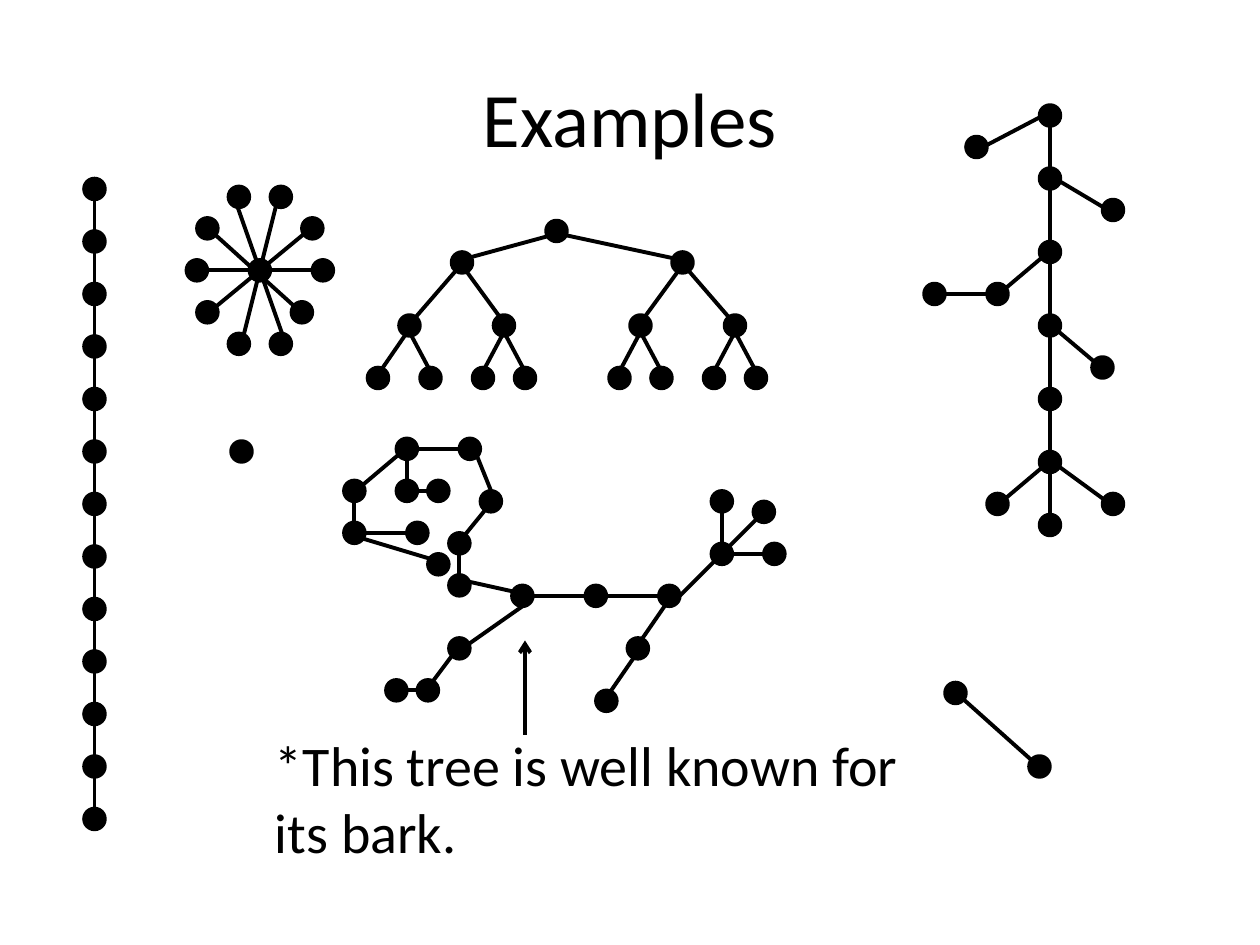
from lxml import etree
from pptx import Presentation
from pptx.dml.color import RGBColor
from pptx.enum.shapes import MSO_CONNECTOR, MSO_SHAPE
from pptx.enum.text import MSO_ANCHOR, MSO_AUTO_SIZE, PP_ALIGN
from pptx.oxml.ns import qn
from pptx.util import Cm, Pt

OVAL = MSO_SHAPE.OVAL
STRAIGHT = MSO_CONNECTOR.STRAIGHT
MIDDLE = MSO_ANCHOR.MIDDLE
TOP = MSO_ANCHOR.TOP
CENTER = PP_ALIGN.CENTER
LEFT = PP_ALIGN.LEFT
GROW = MSO_AUTO_SIZE.SHAPE_TO_FIT_TEXT

GRID = 2.54 / 12
DOT = 2
SNAP = 0.39
SIDES = {"N": (0, -1), "S": (0, 1), "W": (-1, 0), "E": (1, 0),
         "NW": (-1, -1), "NE": (1, -1), "SW": (-1, 1), "SE": (1, 1)}


def color(value):
    return RGBColor.from_string(value)


def units(*values):
    return [Cm(value * GRID) for value in values]


def sign(value):
    return (value > 0) - (value < 0)


def rim(node, side):
    reach = DOT / 2 * (0.71 if all(side) else 1)
    return [start + DOT / 2 + step * reach for start, step in zip(node, side)]


def direction(start, end):
    across, down = end[0] - start[0], end[1] - start[1]
    return (sign(across) if abs(across) > SNAP * abs(down) else 0,
            sign(down) if abs(down) > SNAP * abs(across) else 0)


class Board:
    ink = "000000"
    font = "Calibri"

    def __init__(self, page):
        self.page = page

    def label(self, box, text, size, align, frame_format):
        for name, value in frame_format.items():
            setattr(box.text_frame, name, value)
        para = box.text_frame.paragraphs[0]
        para.alignment = align
        span = para.add_run()
        span.text = text
        for name, value in {"name": self.font, "size": Pt(size)}.items():
            setattr(span.font, name, value)
        span.font.color.rgb = color(self.ink)

    def title(self, text, left, top, width, height):
        box = self.page.shapes.title
        box.left, box.top, box.width, box.height = units(left, top, width, height)
        self.label(box, text, 44, CENTER, {"vertical_anchor": MIDDLE})

    def caption(self, text, left, top, width, height):
        box = self.page.shapes.add_textbox(*units(left, top, width, height))
        self.label(box, text, 32, LEFT, {
            "word_wrap": True, "auto_size": GROW, "vertical_anchor": TOP})

    def dot(self, node):
        shape = self.page.shapes.add_shape(OVAL, *units(*node, DOT, DOT))
        shape.shadow.inherit = False
        shape.fill.solid()
        shape.fill.fore_color.rgb = color(self.ink)
        shape.line.color.rgb = color(self.ink)
        shape.line.width = Pt(2)

    def line(self, start, end, arrow=False):
        connector = self.page.shapes.add_connector(STRAIGHT, *units(*start, *end))
        connector.line.color.rgb = color(self.ink)
        connector.line.width = Pt(2.25)
        properties = connector._element.spPr
        if arrow:
            outline = properties.find(qn("a:ln"))
            etree.SubElement(outline, qn("a:tailEnd"), type="arrow")
        etree.SubElement(properties, qn("a:effectLst"))

    def graph(self, nodes, edges, shift=0):
        nodes = [(left + shift, top + shift) for left, top in nodes]
        for first, last, *sides in edges:
            start, end = nodes[first], nodes[last]
            given = [SIDES[side] for side in sides]
            from_side, to_side = given or (direction(end, start), direction(start, end))
            self.line(rim(start, from_side), rim(end, to_side))
        for node in nodes:
            self.dot(node)


def main():
    deck = Presentation()
    deck.slide_width, deck.slide_height = Cm(25.4), Cm(19.05)
    board = Board(deck.slides.add_slide(deck.slide_layouts[5]))
    board.title("Examples", 6, 3.6, 108, 15)

    chain = [(8, 17 + 5 * step) for step in range(13)]
    board.graph(chain, [(0, 12)])

    board.graph([(22, 42)], [])

    star = [(24, 25), (19, 29), (22, 32), (26, 32), (28, 29), (30, 25),
            (29, 21), (26, 18), (22, 18), (19, 21), (18, 25)]
    board.graph(star, [(8, 3, "NW", "SE"), (7, 2), (1, 6), (10, 5), (9, 4)], -0.25)

    levels = {21: [52], 24: [43, 64], 30: [38, 47, 60, 69],
              35: [35, 40, 45, 49, 58, 62, 67, 71]}
    binary = [(left, top) for top, row in levels.items() for left in row]
    board.graph(binary, [((child - 1) // 2, child) for child in range(1, len(binary))])

    spine = [(43, 55), (49, 56), (56, 56), (63, 56)]
    legs = [(43, 61), (40, 65), (37, 66), (60, 61), (57, 66)]
    legs[1:3] = [(40, 65), (37, 65)]
    tail = [(68, 52), (68, 47), (72, 48), (73, 52)]
    head = [(43, 51), (46, 47), (44, 42), (38, 42), (33, 46),
            (38, 46), (41, 46), (33, 50), (41, 53), (39, 50)]
    dog_edges = [
        (0, 13, "S", "S"), (13, 14), (14, 15, "SE", "N"), (15, 16), (16, 17),
        (16, 18), (18, 19), (17, 20, "N", "N"), (20, 21), (20, 22),
        (0, 1, "NW", "E"), (1, 4, "S", "SW"), (4, 5, "SW", "SW"), (5, 6),
        (1, 2), (2, 3), (3, 7), (7, 8),
        (3, 9, "S", "NE"), (9, 10, "N", "N"), (9, 11), (9, 12)]
    board.graph(spine + legs + tail + head, dog_edges, -0.25)

    board.graph([(90, 65), (98, 72)], [(0, 1)])

    trunk = [(99, top) for top in (10, 16, 23, 30, 37, 43, 49)]
    twigs = [(92, 13), (105, 19), (94, 27), (88, 27), (104, 34), (94, 47), (105, 47)]
    board.graph(trunk + twigs, [(0, 6), (0, 7), (1, 8), (2, 9), (9, 10),
                                (3, 11), (5, 12), (5, 13)])

    board.caption("*This tree is well known for its bark.", 25, 69, 62, 14)
    board.line((50, 70), (50, 61), arrow=True)
    deck.save("out.pptx")


if __name__ == "__main__":
    main()
